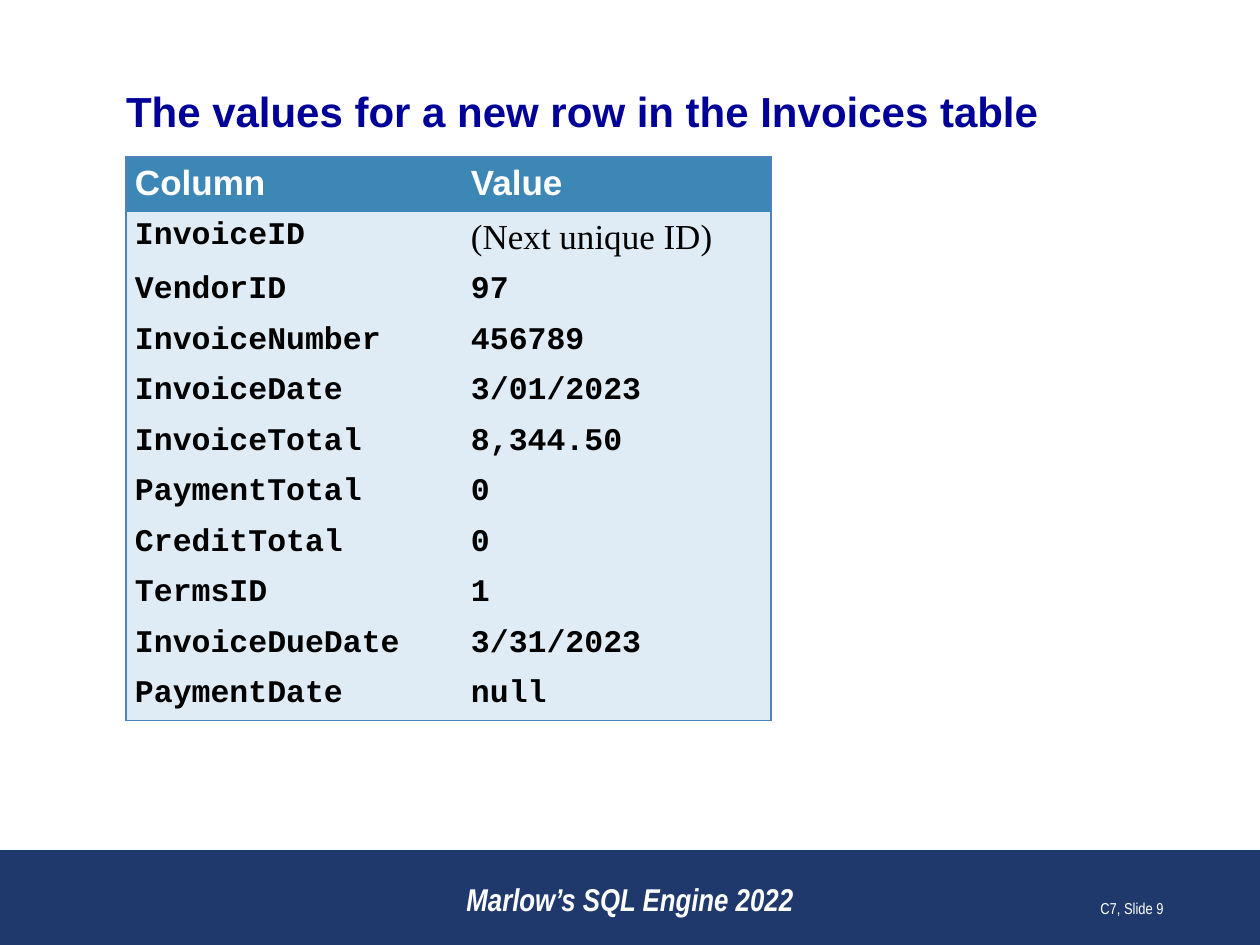
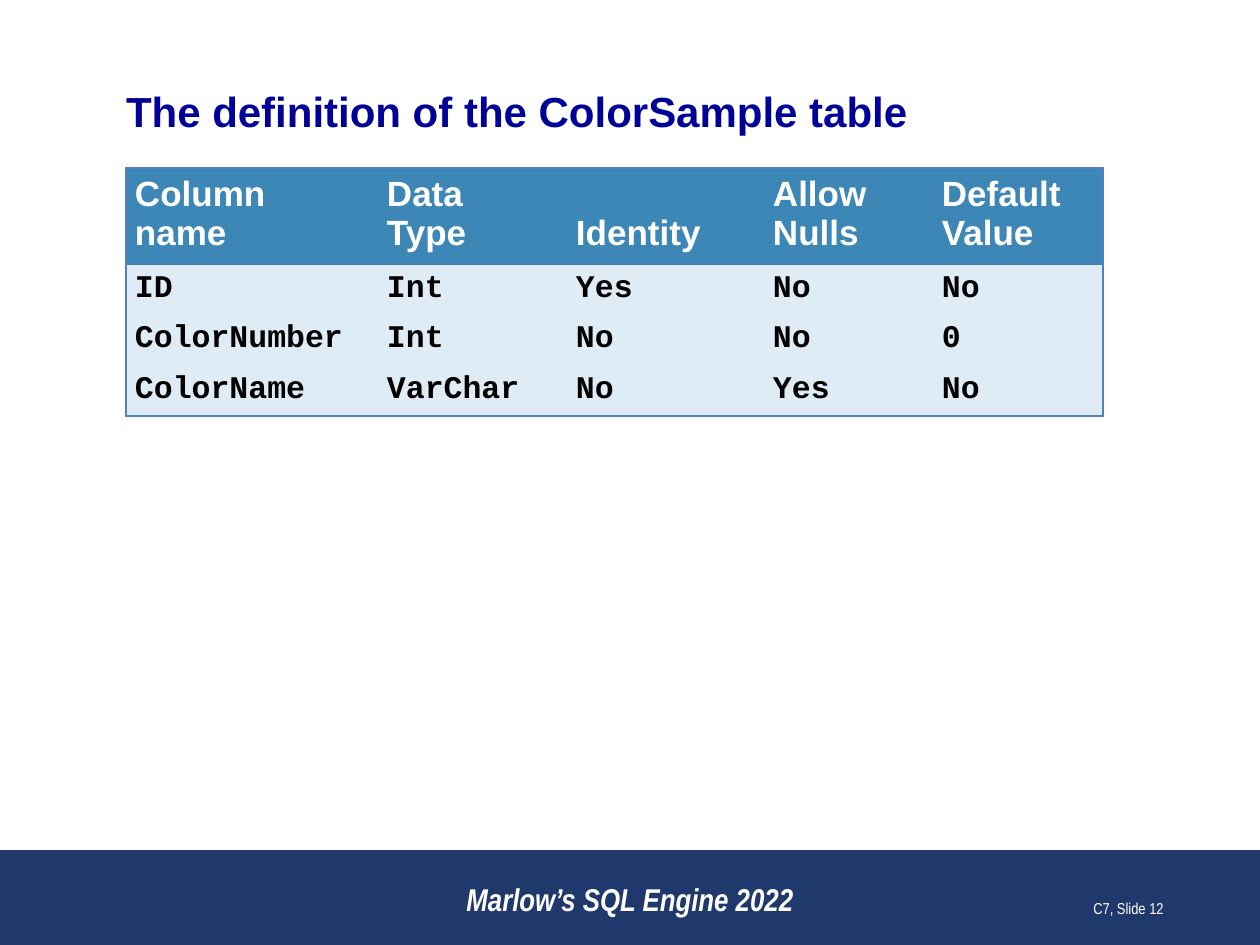
from lxml import etree
from pptx import Presentation
from pptx.dml.color import RGBColor
from pptx.enum.shapes import MSO_SHAPE
from pptx.enum.text import MSO_ANCHOR, MSO_AUTO_SIZE, PP_ALIGN
from pptx.oxml.ns import qn
from pptx.util import Emu, Pt

EMU_PER_PX = 914400 / 126
SLIDE_W, SLIDE_H = 1260, 945
MARGIN = 126
BAND_H = 95
NO_TABLE_STYLE = "{2D5ABB26-0587-4C30-8999-92F81FD0307C}"

COLORS = {
    "band": "20396D",
    "title": "000099",
    "header": "3D87B7",
    "body": "DFECF5",
    "border": "4F81BD",
    "white": "FFFFFF",
    "black": "000000",
}

INVOICE_ROWS = [
    ("Column", "Value"),
    ("InvoiceID", "(Next unique ID)"),
    ("VendorID", "97"),
    ("InvoiceNumber", "456789"),
    ("InvoiceDate", "3/01/2023"),
    ("InvoiceTotal", "8,344.50"),
    ("PaymentTotal", "0"),
    ("CreditTotal", "0"),
    ("TermsID", "1"),
    ("InvoiceDueDate", "3/31/2023"),
    ("PaymentDate", "null"),
]

COLOR_SAMPLE_ROWS = [
    ("Column\vname", "Data\vType", "\vIdentity", "Allow\vNulls", "Default\vValue"),
    ("ID", "Int", "Yes", "No", "No"),
    ("ColorNumber", "Int", "No", "No", "0"),
    ("ColorName", "VarChar", "No", "Yes", "No"),
]


def px(n):
    return Emu(round(n * EMU_PER_PX))


def rgb(name):
    return RGBColor.from_string(COLORS[name])


def set_font(p, name, size, color, bold=False, italic=False):
    f = p.font
    f.name, f.size, f.bold, f.italic = name, Pt(size), bold, italic
    f.color.rgb = rgb(color)


def add_title(s, text):
    sp = s.shapes.title
    sp.left, sp.top, sp.width, sp.height = map(px, (MARGIN, 86, 1008, 50))
    tf = sp.text_frame
    tf.text = text
    tf.margin_left = tf.margin_right = tf.margin_top = tf.margin_bottom = 0
    tf.vertical_anchor = MSO_ANCHOR.MIDDLE
    tf.auto_size = MSO_AUTO_SIZE.SHAPE_TO_FIT_TEXT
    p = tf.paragraphs[0]
    p.alignment = PP_ALIGN.LEFT
    set_font(p, "Arial", 24, "title", bold=True)


def add_footer_text(s, box, text, align, size, **style):
    tf = s.shapes.add_textbox(*map(px, box)).text_frame
    tf.word_wrap = True
    tf.vertical_anchor = MSO_ANCHOR.BOTTOM
    p = tf.paragraphs[0]
    p.text = text
    p.alignment = align
    set_font(p, "Arial Narrow", size, "white", **style)


def add_footer(s, number):
    top = SLIDE_H - BAND_H
    band = s.shapes.add_shape(MSO_SHAPE.RECTANGLE,
                              *map(px, (0, top, SLIDE_W, BAND_H)))
    band.shadow.inherit = False
    band.fill.solid()
    band.fill.fore_color.rgb = rgb("band")
    band.line.fill.background()
    add_footer_text(s, (378, top + 11, 504, 63), "Marlow’s SQL Engine 2022",
                    PP_ALIGN.CENTER, 18, bold=True, italic=True)
    add_footer_text(s, (914, top + 11, 262, 63), f"C7, Slide {number}",
                    PP_ALIGN.RIGHT, 9)


def set_borders(cell, sides):
    """Draw 1 pt lines on the given sides, a string in the order LRTB."""
    tc_pr = cell._tc.get_or_add_tcPr()
    for i, side in enumerate(sides):
        ln = etree.Element(qn(f"a:ln{side}"), w=str(Pt(1)))
        fill = etree.SubElement(ln, qn("a:solidFill"))
        etree.SubElement(fill, qn("a:srgbClr"), val=COLORS["border"])
        tc_pr.insert(i, ln)


def format_cell(cell, is_header):
    cell.margin_left = cell.margin_right = px(9)
    cell.fill.solid()
    cell.fill.fore_color.rgb = rgb("header" if is_header else "body")
    p = cell.text_frame.paragraphs[0]
    p.space_before = p.space_after = Pt(6)
    if is_header:
        set_font(p, "Arial", 20, "white", bold=True)
    elif p.text.startswith("("):
        set_font(p, "Times New Roman", 20, "black")
    else:
        set_font(p, "Courier New", 18, "black", bold=True)


def add_grid(s, top, col_widths, rows, header_h):
    row_h = 48
    last_row, last_col = len(rows) - 1, len(col_widths) - 1
    box = (MARGIN, top, sum(col_widths), header_h + last_row * row_h)
    table = s.shapes.add_table(len(rows), len(col_widths), *map(px, box)).table
    table._tbl.tblPr.find(qn("a:tableStyleId")).text = NO_TABLE_STYLE
    for column, width in zip(table.columns, col_widths):
        column.width = px(width)
    for r, values in enumerate(rows):
        table.rows[r].height = px(row_h if r else header_h)
        for c, value in enumerate(values):
            cell = table.cell(r, c)
            cell.text_frame.text = value
            format_cell(cell, r == 0)
            edges = {"L": c == 0, "R": c == last_col,
                     "T": r == 0, "B": r == last_row}
            set_borders(cell, "".join(k for k, on in edges.items() if on))


def add_table_slide(prs, number, title, **grid):
    s = prs.slides.add_slide(prs.slide_layouts[5])
    add_footer(s, number)
    add_title(s, title)
    add_grid(s, **grid)


def main():
    prs = Presentation()
    prs.slide_width, prs.slide_height = px(SLIDE_W), px(SLIDE_H)
    add_table_slide(prs, 9, "The values for a new row in the Invoices table",
                    top=157, col_widths=(336, 309), rows=INVOICE_ROWS,
                    header_h=52)
    add_table_slide(prs, 12, "The definition of the ColorSample table",
                    top=168, col_widths=(252, 189, 197, 169, 170),
                    rows=COLOR_SAMPLE_ROWS, header_h=91)
    prs.save("out.pptx")


if __name__ == "__main__":
    main()
